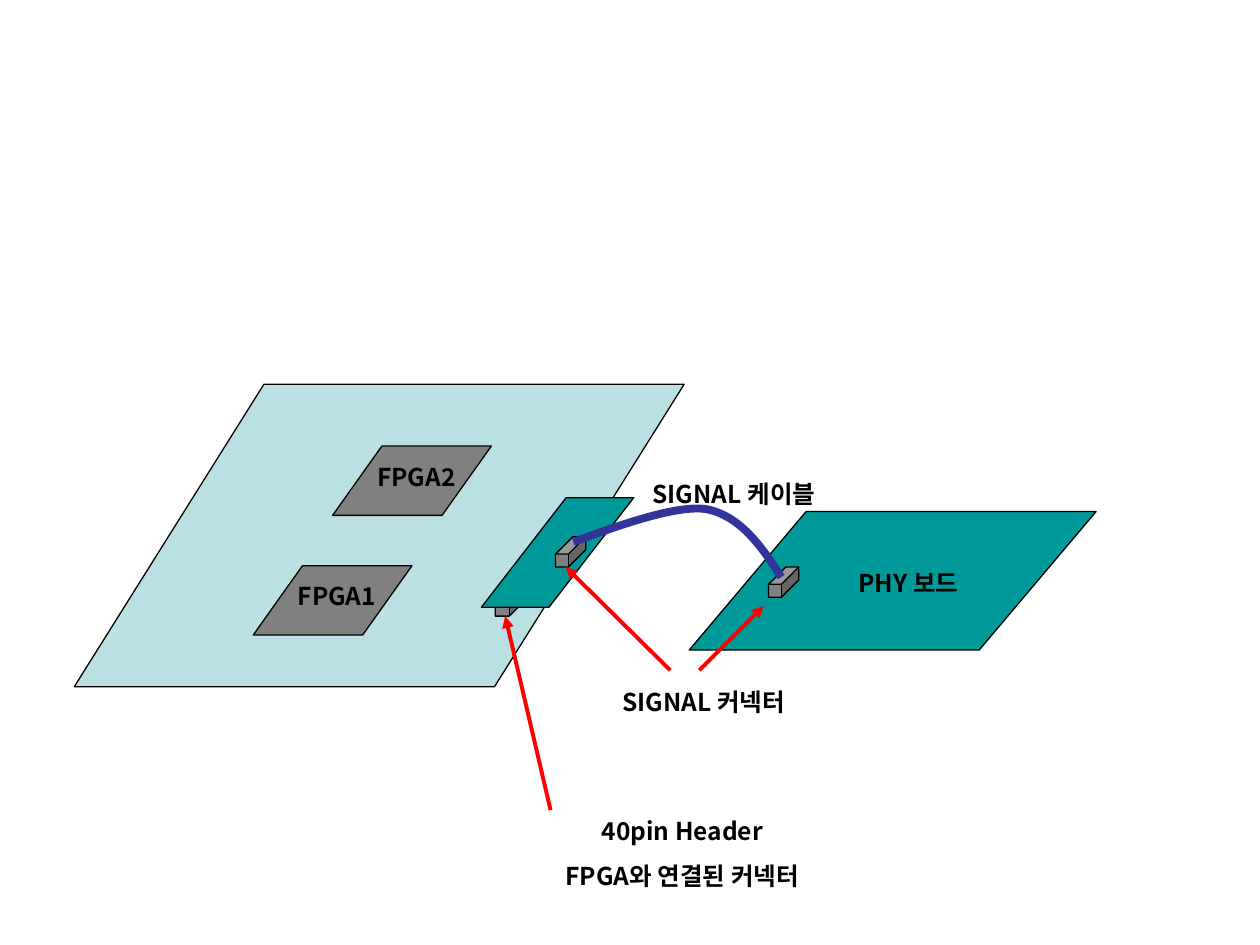
import pptx
import pptx.util
import pptx.dml.color
import pptx.enum.shapes
import pptx.enum.text
import pptx.oxml.ns
from lxml import etree

RGBColor = pptx.dml.color.RGBColor
SHAPE = pptx.enum.shapes.MSO_SHAPE
qn = pptx.oxml.ns.qn

BLACK = RGBColor(0x00, 0x00, 0x00)
GRAY = RGBColor(0x80, 0x80, 0x80)
TEAL = RGBColor(0x00, 0x99, 0x99)
PALE_BLUE = RGBColor(0xBB, 0xE0, 0xE3)
RED = RGBColor(0xFF, 0x00, 0x00)
NAVY = RGBColor(0x33, 0x33, 0x99)

FONT = "Noto Sans CJK KR"
SLIDE_WIDTH = pptx.util.Inches(10)
SLIDE_HEIGHT = pptx.util.Inches(7.5)
COLUMN = SLIDE_WIDTH / 100
ROW = SLIDE_HEIGHT / 75
LABEL_WIDTH, LABEL_HEIGHT = 16.5, 3.4


def grid_point(column, row):
    return round(column * COLUMN), round(row * ROW)


def grid_box(left, top, width, height):
    return grid_point(left, top) + grid_point(width, height)


def add_solid(slide, kind, box, color, adjustment):
    shape = slide.shapes.add_shape(kind, *grid_box(*box))
    shape.adjustments[0] = adjustment
    shape.shadow.inherit = False
    shape.fill.solid()
    shape.fill.fore_color.rgb = color
    shape.line.color.rgb = BLACK
    shape.line.width = pptx.util.Pt(0.75)


def add_text(slide, text, box, size=14, bold=True, color=BLACK, space_before=8.8):
    shape = slide.shapes.add_textbox(*grid_box(*box))
    frame = shape.text_frame
    frame.word_wrap = True
    frame.auto_size = pptx.enum.text.MSO_AUTO_SIZE.SHAPE_TO_FIT_TEXT
    for index, line in enumerate(text.split("\n")):
        paragraph = frame.add_paragraph() if index else frame.paragraphs[0]
        paragraph.alignment = pptx.enum.text.PP_ALIGN.CENTER
        paragraph.space_before = pptx.util.Pt(space_before if index else 0)
        run = paragraph.add_run()
        run.text = line
        run.font.size = pptx.util.Pt(size)
        run.font.bold = bold
        run.font.color.rgb = color
        run.font.name = FONT
        etree.SubElement(run.font._element, qn("a:ea"), typeface=FONT)


def add_arrow(slide, start, end):
    connector = slide.shapes.add_connector(
        pptx.enum.shapes.MSO_CONNECTOR.STRAIGHT, *grid_point(*start), *grid_point(*end))
    connector.line.color.rgb = RED
    connector.line.width = pptx.util.Pt(2.25)
    etree.SubElement(connector.line._get_or_add_ln(), qn("a:tailEnd"), type="triangle")
    etree.SubElement(connector._element.spPr, qn("a:effectLst"))


def add_curve(slide, start, segments, color, width):
    builder = slide.shapes.build_freeform(*grid_point(*start), scale=1.0)
    builder.add_line_segments([grid_point(*segment[-1]) for segment in segments], close=False)
    shape = builder.convert_to_shape()
    for step, segment in zip(list(shape._element.iter(qn("a:lnTo"))), segments):
        curve = etree.Element(qn("a:cubicBezTo"))
        for point in segment:
            x, y = grid_point(*point)
            etree.SubElement(curve, qn("a:pt"), x=str(x - shape.left), y=str(y - shape.top))
        step.getparent().replace(step, curve)
    shape.shadow.inherit = False
    shape.fill.background()
    shape.line.color.rgb = color
    shape.line.width = pptx.util.Pt(width)


def add_connector_block(slide, left, top):
    add_solid(slide, SHAPE.CUBE, (left, top, 2.4, 2.4), GRAY, 0.575)


def add_phy_board(slide, box):
    left, top, width, height = box
    add_solid(slide, SHAPE.PARALLELOGRAM, box, TEAL, 0.844)
    add_connector_block(slide, left + 6.3, top + 4.4)
    add_text(slide, "PHY 보드", (left + 10.3, top + 4, 14.2, LABEL_HEIGHT))


def add_fpga_board(slide, box):
    left, top, width, height = box
    add_solid(slide, SHAPE.PARALLELOGRAM, box, PALE_BLUE, 0.627)
    for name, x, y in (("FPGA1", 14.2, 14.4), ("FPGA2", 20.5, 4.9)):
        chip_left, chip_top = left + x, top + y
        add_solid(slide, SHAPE.PARALLELOGRAM, (chip_left, chip_top, 12.6, 5.5), GRAY, 0.711)
        add_text(slide, name, (chip_left - 1.6, chip_top + 0.75, LABEL_WIDTH, LABEL_HEIGHT))


def add_adapter_board(slide, box):
    left, top, width, height = box
    add_solid(slide, SHAPE.CUBE, (left + 1.1, top + 4.7, 3.9, 4.7), GRAY, 0.709)
    add_solid(slide, SHAPE.PARALLELOGRAM, box, TEAL, 0.774)
    add_connector_block(slide, left + 5.9, top + 3.1)


def add_cable(slide, box):
    left, top, width, height = box
    peak = (left + 10.5, top)
    end = (left, top + 2.6)
    add_curve(slide, (left + width, top + height), [
        [(left + 14.9, top + 2.9), (left + 13.2, top + 0.5), peak],
        [(left + 7.7, top - 0.4), (left + 1.6, top + 2.1), end],
    ], NAVY, 4.5)
    add_text(slide, "SIGNAL 케이블", (left + 4.5, top - 2.9, LABEL_WIDTH, LABEL_HEIGHT))


def add_callouts(slide, box):
    left, top, width, height = box
    add_arrow(slide, (left + 13.8, top + 8.2), (left + 5.5, top))
    add_arrow(slide, (left + 16.1, top + 8.2), (left + 21.2, top + 3.1))
    add_text(slide, "SIGNAL 커넥터", (left + 8.2, top + 9, LABEL_WIDTH, LABEL_HEIGHT))
    add_arrow(slide, (left + 4.3, top + 19.3), (left + 0.7, top + 3.9))
    add_text(slide, "40pin Header\nFPGA와 연결된 커넥터", (left, top + 19.3, width, 6.9))


def main():
    presentation = pptx.Presentation()
    presentation.slide_width = SLIDE_WIDTH
    presentation.slide_height = SLIDE_HEIGHT
    slide = presentation.slides.add_slide(presentation.slide_layouts[6])
    add_phy_board(slide, (54.7, 40.6, 32.3, 11))
    add_fpga_board(slide, (5.9, 30.5, 48.4, 24))
    add_adapter_board(slide, (38.2, 39.5, 12.1, 8.7))
    add_callouts(slide, (39.4, 45, 29.5, 26.2))
    add_cable(slide, (45.5, 40.4, 16.5, 5.4))
    presentation.save("out.pptx")


if __name__ == "__main__":
    main()
